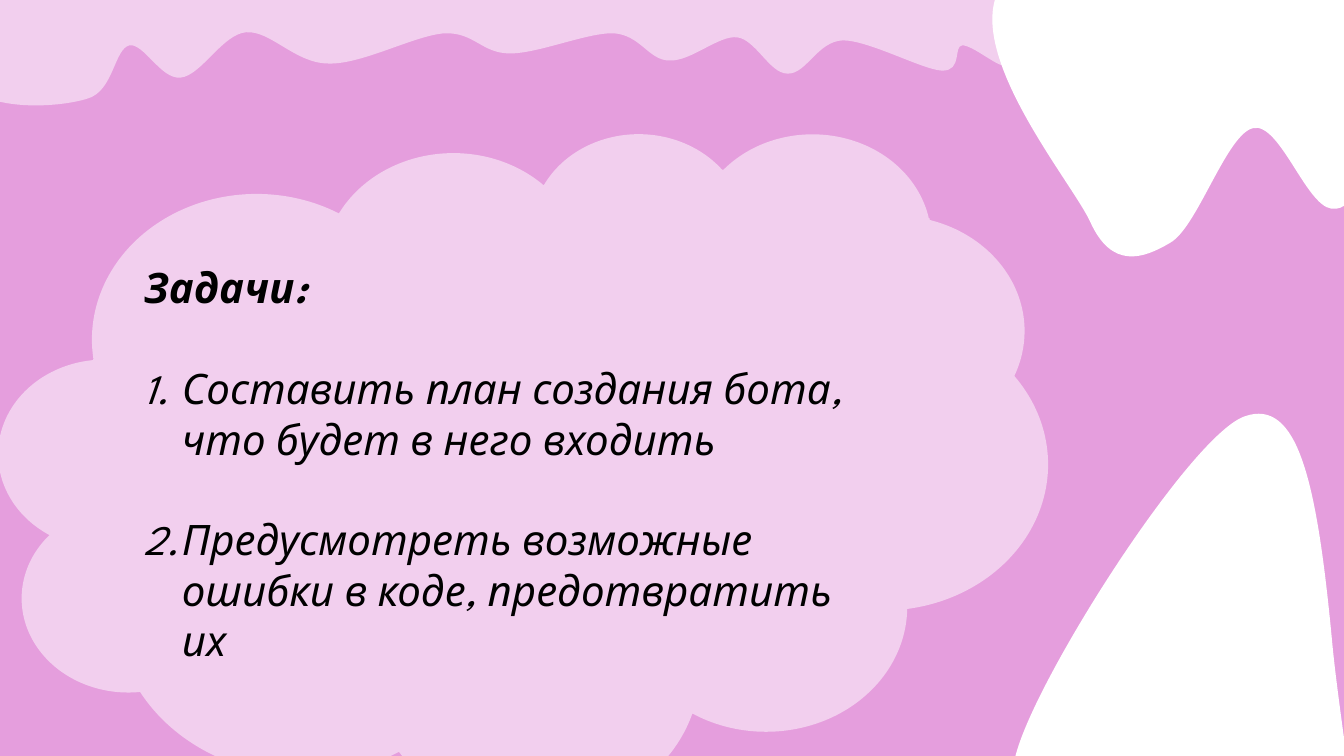
from dataclasses import dataclass

from lxml.etree import SubElement
from pptx import Presentation
from pptx.dml.color import RGBColor
from pptx.enum.shapes import MSO_SHAPE
from pptx.enum.text import MSO_AUTO_SIZE
from pptx.oxml.ns import qn
from pptx.shapes.autoshape import Shape
from pptx.slide import Slide
from pptx.util import Emu, Pt

EMU_PER_PX = 9144
SLIDE_WIDTH, SLIDE_HEIGHT = 1333, 750
FONT = "League Spartan"
TEXT_SIZE = 30
TASK_GAP = 36
TASK_INDENT = 27
COLORS = {"orchid": "E59EDD", "blush": "F2CFEE", "white": "FFFFFF", "text": "000000"}

Point = tuple[int, int]
Curve = tuple[int, int, int, int, int, int]


@dataclass(frozen=True)
class Box:
    left: int
    top: int
    width: int
    height: int


@dataclass(frozen=True)
class Blob:
    color: str
    box: Box
    start: Point
    curves: list[Curve]


@dataclass(frozen=True)
class Panel:
    preset: MSO_SHAPE
    color: str
    box: Box


@dataclass(frozen=True)
class Passage:
    words: str
    heading: bool = False


BACKDROP = Panel(MSO_SHAPE.RECTANGLE, "orchid", Box(0, 0, SLIDE_WIDTH, SLIDE_HEIGHT))
CLOUD = Panel(MSO_SHAPE.CLOUD, "blush", Box(0, 132, 1038, 674))
TASKS_BOX = Box(133, 255, 744, 414)

WHITE_HILL = Blob("white", Box(626, 411, 747, 975), (673, 1226), [
    (695, 1215, 787, 1200, 815, 1166),
    (842, 1132, 811, 1035, 840, 1022),
    (868, 1010, 967, 1100, 986, 1089),
    (1005, 1078, 937, 985, 953, 954),
    (969, 923, 1072, 939, 1081, 904),
    (1091, 869, 984, 826, 1010, 744),
    (1035, 662, 1183, 432, 1235, 414),
    (1286, 396, 1305, 476, 1320, 634),
    (1334, 791, 1429, 1260, 1323, 1359),
    (1217, 1458, 789, 1253, 681, 1231),
    (574, 1208, 651, 1236, 673, 1226),
])
BLUSH_DRIPS = Blob("blush", Box(-113, -36, 1122, 140), (-26, 89), [
    (2, 109, 60, 105, 86, 97),
    (112, 90, 112, 48, 128, 44),
    (143, 41, 160, 78, 179, 76),
    (199, 74, 220, 33, 244, 31),
    (269, 29, 293, 62, 326, 62),
    (359, 63, 411, 34, 441, 32),
    (471, 31, 478, 52, 506, 52),
    (534, 52, 583, 31, 609, 32),
    (636, 34, 644, 59, 664, 59),
    (685, 60, 712, 34, 731, 36),
    (750, 38, 764, 72, 781, 72),
    (799, 73, 810, 40, 836, 39),
    (862, 39, 915, 68, 934, 69),
    (954, 70, 944, 45, 954, 44),
    (965, 43, 992, 68, 999, 64),
    (1007, 60, 1004, 34, 998, 19),
    (992, 4, 1045, -15, 963, -24),
    (881, -33, 680, -36, 506, -36),
    (332, -35, 7, -42, -81, -21),
    (-168, 0, -53, 69, -26, 89),
])
WHITE_DRIPS = Blob("white", Box(986, -56, 821, 309), (1082, 219), [
    (1103, 266, 1133, 256, 1160, 240),
    (1187, 225, 1216, 131, 1243, 126),
    (1270, 120, 1296, 203, 1321, 206),
    (1345, 209, 1353, 162, 1389, 144),
    (1424, 127, 1498, 128, 1534, 101),
    (1571, 74, 1566, 5, 1607, -16),
    (1649, -38, 1880, -23, 1783, -27),
    (1687, -31, 1147, -81, 1030, -40),
    (913, 1, 1060, 172, 1082, 219),
])

PASSAGES = [
    Passage("Задачи:", heading=True),
    Passage("Составить план создания бота, что будет в него входить"),
    Passage("Предусмотреть возможные ошибки в коде, предотвратить их"),
]


def px(length: int) -> Emu:
    return Emu(length * EMU_PER_PX)


def place(box: Box) -> tuple[Emu, Emu, Emu, Emu]:
    return px(box.left), px(box.top), px(box.width), px(box.height)


def paint(shape: Shape, color: str) -> None:
    tone = RGBColor.from_string(COLORS[color])
    shape.shadow.inherit = False
    shape.fill.solid()
    shape.fill.fore_color.rgb = tone
    shape.line.color.rgb = tone
    shape.line.width = Pt(1.5)


def draw_panel(slide: Slide, panel: Panel) -> None:
    paint(slide.shapes.add_shape(panel.preset, *place(panel.box)), panel.color)


def draw_blob(slide: Slide, blob: Blob) -> None:
    box = blob.box
    builder = slide.shapes.build_freeform(box.left, box.top, scale=EMU_PER_PX)
    builder.add_line_segments([(box.left + box.width, box.top + box.height)])
    shape = builder.convert_to_shape()
    outline = next(shape._element.iter(qn("a:path")))
    for segment in list(outline):
        outline.remove(segment)
    for tag, numbers in [("a:moveTo", blob.start), *(("a:cubicBezTo", c) for c in blob.curves)]:
        segment = SubElement(outline, qn(tag))
        for x, y in zip(numbers[::2], numbers[1::2]):
            SubElement(segment, qn("a:pt"), x=str(x - box.left), y=str(y - box.top))
    SubElement(outline, qn("a:close"))
    paint(shape, blob.color)


def write_tasks(slide: Slide, passages: list[Passage]) -> None:
    frame = slide.shapes.add_textbox(*place(TASKS_BOX)).text_frame
    frame.word_wrap = True
    frame.auto_size = MSO_AUTO_SIZE.SHAPE_TO_FIT_TEXT
    for index, passage in enumerate(passages):
        paragraph = frame.add_paragraph() if index else frame.paragraphs[0]
        if not passage.heading:
            paragraph.space_before = Pt(TASK_GAP)
            properties = paragraph._p.get_or_add_pPr()
            properties.set("marL", str(Pt(TASK_INDENT)))
            properties.set("indent", str(Pt(-TASK_INDENT)))
            SubElement(properties, qn("a:buAutoNum"), type="arabicPeriod")
        run = paragraph.add_run()
        run.text = passage.words
        run.font.name = FONT
        run.font.size = Pt(TEXT_SIZE)
        run.font.bold = passage.heading
        run.font.italic = True
        run.font.color.rgb = RGBColor.from_string(COLORS["text"])


def main() -> None:
    presentation = Presentation()
    presentation.slide_width = px(SLIDE_WIDTH)
    presentation.slide_height = px(SLIDE_HEIGHT)
    slide = presentation.slides.add_slide(presentation.slide_layouts[6])
    draw_panel(slide, BACKDROP)
    draw_blob(slide, WHITE_HILL)
    draw_panel(slide, CLOUD)
    write_tasks(slide, PASSAGES)
    draw_blob(slide, BLUSH_DRIPS)
    draw_blob(slide, WHITE_DRIPS)
    presentation.save("out.pptx")


if __name__ == "__main__":
    main()
